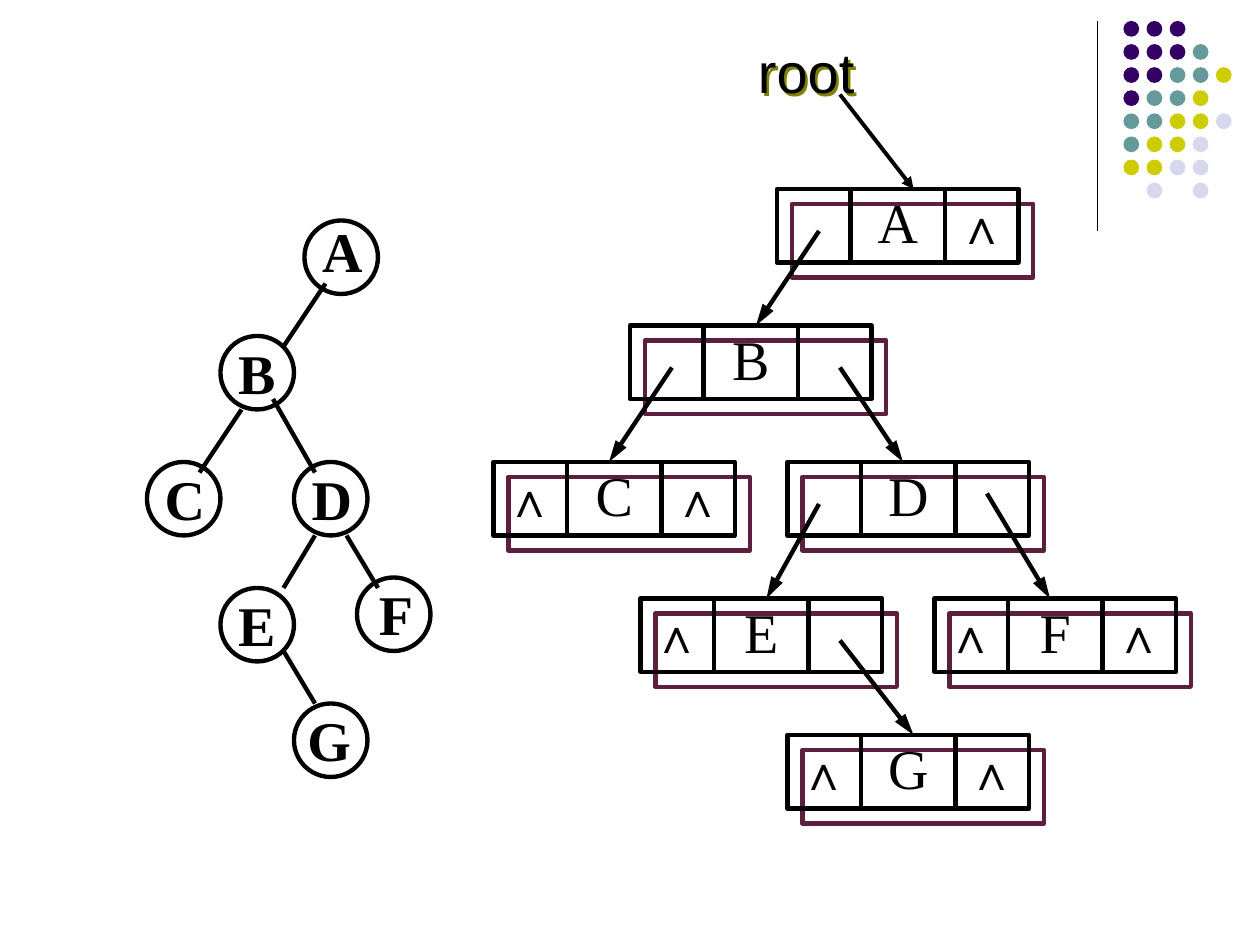
from dataclasses import dataclass

from lxml.etree import SubElement
from pptx import Presentation
from pptx.dml.color import RGBColor as Color
from pptx.enum.shapes import MSO_CONNECTOR as Connector, MSO_SHAPE as Preset
from pptx.enum.text import MSO_AUTO_SIZE as AutoSize, PP_ALIGN as Align
from pptx.oxml.ns import qn
from pptx.util import Inches, Pt


@dataclass(frozen=True)
class Theme:
    ink: str = "000000"
    record_shadow: str = "5C1F3D"
    text_shadow: str = "808000"
    serif: str = "Times New Roman"
    sans: str = "Arial"
    label_size: int = 32
    null_size: int = 28
    stroke: float = 2.5
    root_stroke: float = 2.25
    rule: float = 0.75


theme = Theme()
dot_colors = {"P": "330066", "T": "669999", "Y": "CCCC00", "L": "D8D8EC"}

deck = Presentation()
deck.slide_width, deck.slide_height = Inches(10), Inches(7.5)
page = deck.slides.add_slide(deck.slide_layouts[6])
shapes = page.shapes
UNIT = deck.slide_width / 120  # the slide is 120 columns by 90 rows


def add_line(ends, width=theme.stroke, head_length=None):
    """Join two grid points; head_length ("med", "lg") puts an arrowhead at the end."""
    line = shapes.add_connector(Connector.STRAIGHT, *(round(n * UNIT) for n in ends))
    line.line.color.rgb = Color.from_string(theme.ink)
    line.line.width = Pt(width)
    properties = line._element.spPr
    if head_length:
        SubElement(properties.find(qn("a:ln")), qn("a:tailEnd"),
                   type="triangle", w="med", len=head_length)
    SubElement(properties, qn("a:effectLst"))


def add_label(text, area, size=theme.label_size, font=theme.serif,
              bold=False, align=Align.LEFT, spacing=1.0):
    box = shapes.add_textbox(*(round(n * UNIT) for n in area))
    box.text_frame.word_wrap = True
    box.text_frame.auto_size = AutoSize.SHAPE_TO_FIT_TEXT
    para = box.text_frame.paragraphs[0]
    para.text, para.alignment, para.line_spacing = text, align, spacing
    para.font.name, para.font.size, para.font.bold = font, Pt(size), bold
    para.font.color.rgb = Color.from_string(theme.ink)
    return box


# Corner ornament: a rule and a triangle of dots
add_line((104.5, 2, 104.5, 22), theme.rule)
dot_rows = ["PPP", "PPPT", "PPTTY", "PTTY", "TTYYL", "TYYL", "YYLL", " L L"]
DOT, DOT_STEP = round(1.5 * UNIT), 2.2
for row, letters in enumerate(dot_rows):
    for column, letter in enumerate(letters):
        if letter in dot_colors:
            dot = shapes.add_shape(Preset.OVAL, round((107 + column * DOT_STEP) * UNIT),
                                   round((2 + row * DOT_STEP) * UNIT), DOT, DOT)
            dot.fill.solid()
            dot.fill.fore_color.rgb = Color.from_string(dot_colors[letter])
            dot.line.fill.background()
            dot.shadow.inherit = False

# Binary tree: name, column, row, shift of the letter, line spacing
NODE = 7
tree_nodes = [
    ("A", 29, 21, 0.5, 1.0), ("C", 14, 44, 0.5, 1.1), ("B", 21, 32, 0.5, 1.1),
    ("E", 21, 56, 0.5, 1.1), ("F", 34, 55, 0.9, 1.1), ("D", 28, 44, 0.5, 1.1),
    ("G", 28, 67, 0.1, 1.1),
]
for name, column, row, shift, spacing in tree_nodes:
    node = shapes.add_shape(Preset.OVAL, *(round(n * UNIT) for n in (column, row, NODE, NODE)))
    node.fill.background()
    node.line.color.rgb = Color.from_string(theme.ink)
    node.line.width = Pt(theme.stroke)
    node.shadow.inherit = False
    add_label(name, (column + shift, row - 1, NODE, 8), bold=True, spacing=spacing)

tree_edges = [(31, 27, 27, 33), (23, 39, 19, 45), (33, 51, 36, 56),
              (26, 38, 30, 45), (30, 51, 27, 56), (27, 62, 30, 67)]
for edge in tree_edges:
    add_line(edge)

# Linked records: name, column, row, offsets of the fields that hold a null link
RECORD_WIDTH, RECORD_HEIGHT = 23, 7
LEFT, DATA, RIGHT = 0, 7, 16
records = [
    ("A", 74, 18, [RIGHT]), ("D", 75, 44, []), ("C", 47, 44, [LEFT, RIGHT]),
    ("B", 60, 31, []), ("E", 61, 57, [LEFT]), ("F", 89, 57, [LEFT, RIGHT]),
    ("G", 75, 70, [LEFT, RIGHT]),
]
shadowed = []
for name, column, row, nulls in records:
    record = shapes.add_shape(Preset.RECTANGLE, *(
        round(n * UNIT) for n in (column, row, RECORD_WIDTH, RECORD_HEIGHT)))
    record.fill.background()
    record.line.color.rgb = Color.from_string(theme.ink)
    record.line.width = Pt(theme.stroke)
    shadowed.append((record, theme.record_shadow, 12.1))
    for offset in (DATA, RIGHT):
        add_line((column + offset, row, column + offset, row + RECORD_HEIGHT))
    add_label(name, (column + 4, row, 15, RECORD_HEIGHT), align=Align.CENTER, spacing=0.9)
    for offset in nulls:
        add_label("∧", (column + offset, row, 8, 6.8), theme.null_size)

links = [(78, 22, 72, 31), (64, 35, 58, 44), (78, 48, 73, 57),
         (94, 47, 100, 57), (80, 35, 86, 44), (80, 61, 87, 70)]
for link in links:
    add_line(link, head_length="lg")

add_line((80, 9, 87, 18), theme.root_stroke, "med")
root = add_label("root", (71, 3, 16, 7.7), font=theme.sans)
shadowed.append((root, theme.text_shadow, 2))

# Hard shadows, down and to the right
for shape, color, distance in shadowed:
    shape.shadow.inherit = False
    effects = shape._element.spPr.find(qn("a:effectLst"))
    shadow = SubElement(effects, qn("a:outerShdw"), dist=str(Pt(distance)),
                        dir=str(45 * 60000), algn="ctr", rotWithShape="0")
    SubElement(shadow, qn("a:srgbClr"), val=color)

deck.save("out.pptx")
